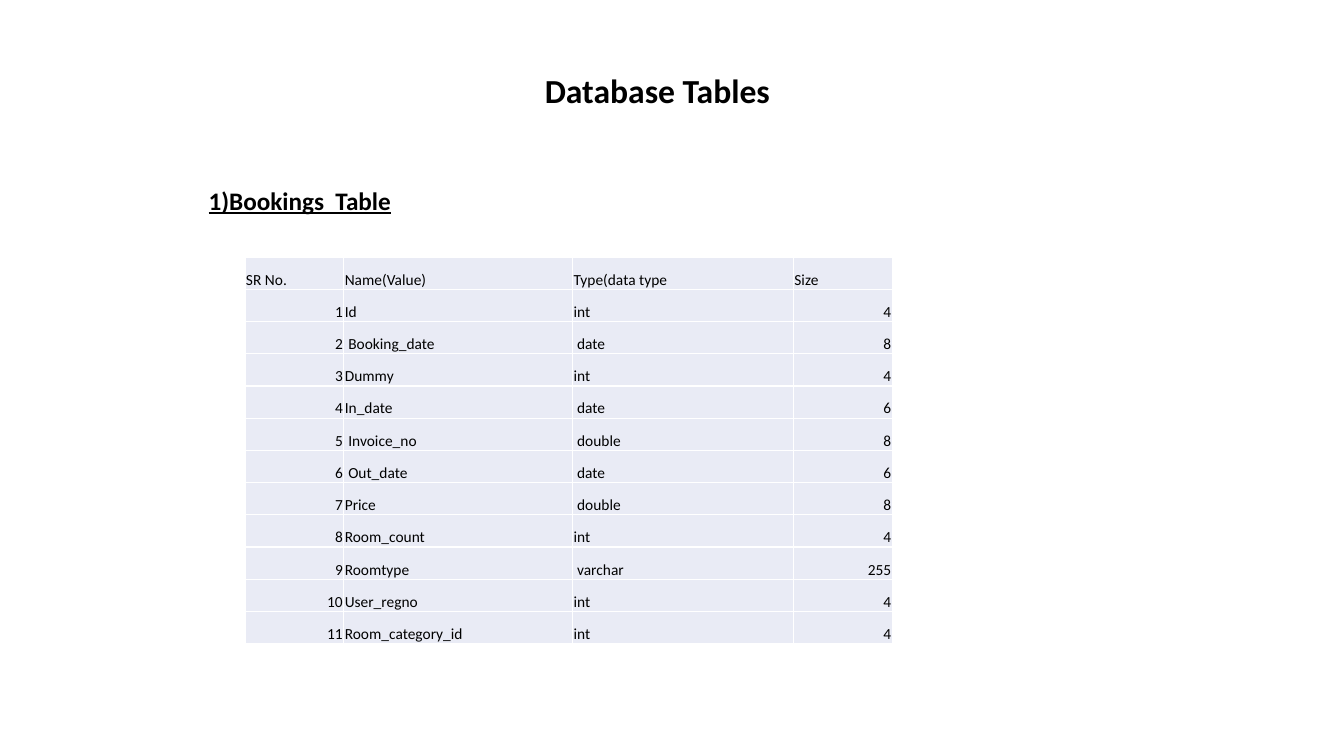
from lxml import etree
from pptx import Presentation
from pptx.dml.color import RGBColor
from pptx.enum.text import MSO_ANCHOR, MSO_AUTO_SIZE, PP_ALIGN
from pptx.oxml.ns import qn
from pptx.util import Inches, Pt

TOP, BOTTOM = MSO_ANCHOR.TOP, MSO_ANCHOR.BOTTOM
LEFT, CENTER, RIGHT = PP_ALIGN.LEFT, PP_ALIGN.CENTER, PP_ALIGN.RIGHT
NO_AUTOFIT, GROW = MSO_AUTO_SIZE.NONE, MSO_AUTO_SIZE.SHAPE_TO_FIT_TEXT

BLACK = RGBColor(0x00, 0x00, 0x00)
WHITE = RGBColor(0xFF, 0xFF, 0xFF)
CELL_FILL = RGBColor(0xE9, 0xEB, 0xF5)
FONT = "Calibri"

HEADER = ("SR No.", "Name(Value)", "Type(data type", "Size")
FIELDS = [
    ("Id", "int", 4),
    (" Booking_date", " date", 8),
    ("Dummy", "int", 4),
    ("In_date", " date", 6),
    (" Invoice_no", " double", 8),
    (" Out_date", " date", 6),
    ("Price", " double", 8),
    ("Room_count", "int", 4),
    ("Roomtype", " varchar", 255),
    ("User_regno", "int", 4),
    ("Room_category_id", "int", 4),
]
COLUMN_WIDTHS = (0.98, 2.27, 2.19, 0.98)


def format_text(p, size, align=LEFT, bold=False, underline=False):
    """Apply alignment and font to a paragraph's runs."""
    p.alignment = align
    for r in p.runs:
        r.font.name = FONT
        r.font.size = Pt(size)
        r.font.bold = bold
        r.font.underline = underline
        r.font.color.rgb = BLACK


def add_title(slide, left, top, width, height):
    """Place the slide title in its placeholder."""
    sp = slide.shapes.title
    sp.left, sp.top = Inches(left), Inches(top)
    sp.width, sp.height = Inches(width), Inches(height)
    tf = sp.text_frame
    tf.text = "Database Tables"
    tf.vertical_anchor = TOP
    tf.auto_size = NO_AUTOFIT
    p = tf.paragraphs[0]
    p.line_spacing = 0.9
    format_text(p, 24, CENTER, bold=True)


def add_heading(slide, left, top, width, height):
    """Add the underlined heading above the table."""
    sp = slide.shapes.add_textbox(Inches(left), Inches(top), Inches(width), Inches(height))
    tf = sp.text_frame
    tf.text = "1)Bookings  Table"
    tf.word_wrap = False
    tf.auto_size = GROW
    format_text(tf.paragraphs[0], 18, bold=True, underline=True)


def set_borders(cell, color, width):
    """Draw a solid line on all four sides of a cell."""
    tcPr = cell._tc.get_or_add_tcPr()
    for side in ("lnL", "lnR", "lnT", "lnB"):
        ln = etree.SubElement(tcPr, qn(f"a:{side}"), w=str(Pt(width)))
        fill = etree.SubElement(ln, qn("a:solidFill"))
        etree.SubElement(fill, qn("a:srgbClr"), val=str(color))


def fill_cell(cell, value):
    """Write and style one cell, with numbers set to the right."""
    cell.text = str(value)
    cell.vertical_anchor = BOTTOM
    cell.margin_left = cell.margin_right = cell.margin_top = Inches(0.01)
    cell.margin_bottom = 0
    set_borders(cell, WHITE, 1)
    cell.fill.solid()
    cell.fill.fore_color.rgb = CELL_FILL
    align = RIGHT if isinstance(value, int) else LEFT
    format_text(cell.text_frame.paragraphs[0], 11, align)


def add_fields_table(slide, left, top, width, height):
    """Add the table of numbered booking fields."""
    rows = [HEADER] + [(i, *field) for i, field in enumerate(FIELDS, 1)]
    table = slide.shapes.add_table(
        len(rows), len(HEADER), Inches(left), Inches(top), Inches(width), Inches(height)
    ).table
    table.first_row = False
    table.horz_banding = False
    for column, column_width in zip(table.columns, COLUMN_WIDTHS):
        column.width = Inches(column_width)
    for row, values in zip(table.rows, rows):
        for cell, value in zip(row.cells, values):
            fill_cell(cell, value)


def main():
    """Build the slide and save it."""
    prs = Presentation()
    prs.slide_width, prs.slide_height = Inches(13.33), Inches(7.5)
    s = prs.slides.add_slide(prs.slide_layouts[5])
    add_title(s, 1.52, 0.69, 10, 0.64)
    add_fields_table(s, 2.43, 2.55, sum(COLUMN_WIDTHS), 3.84)
    add_heading(s, 1.97, 1.79, 2.12, 0.4)
    prs.save("out.pptx")


if __name__ == "__main__":
    main()
